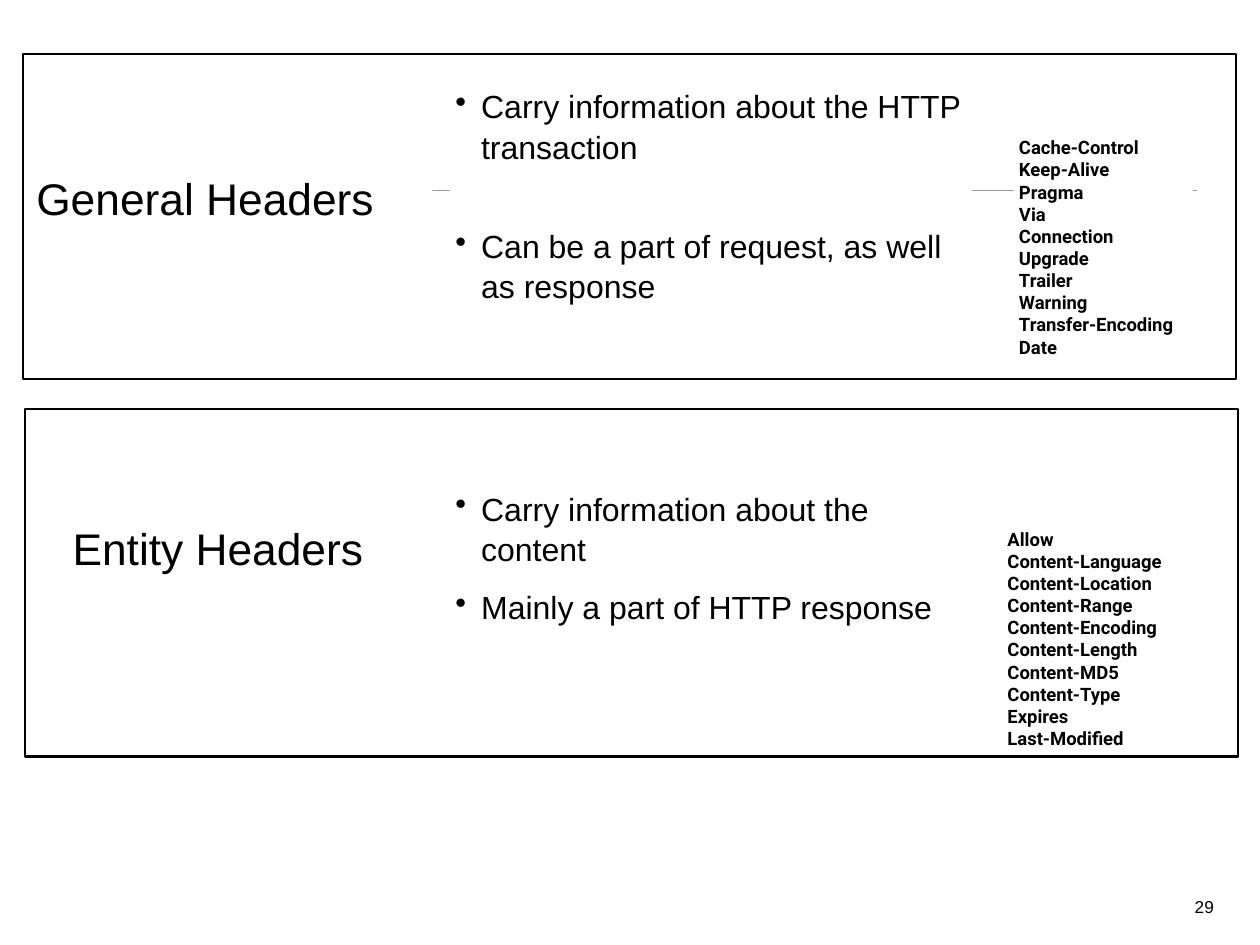
import pptx
import pptx.dml.color
import pptx.enum.shapes
import pptx.enum.text
import pptx.oxml
import pptx.oxml.ns
import pptx.util
from pptx.util import Inches

COLORS = {"text": "000000", "panel": "FFFFFF", "frame": "000000", "rule": "9A9A9A"}

GENERAL_HEADERS = ["Cache-Control", "Keep-Alive", "Pragma", "Via", "Connection", "Upgrade",
                   "Trailer", "Warning", "Transfer-Encoding", "Date"]
ENTITY_HEADERS = ["Allow", "Content-Language", "Content-Location", "Content-Range",
                  "Content-Encoding", "Content-Length", "Content-MD5", "Content-Type",
                  "Expires", "Last-Modified"]


def color(name):
    return pptx.dml.color.RGBColor.from_string(COLORS[name])


class HeaderSlide:
    """Holds the slide and its fonts, with one method for each kind of element."""

    body_font = "Arial"
    list_font = "Roboto"
    margin = Inches(0.06)

    def __init__(self, presentation):
        self.slide = presentation.slides.add_slide(presentation.slide_layouts[5])
        self.shapes = self.slide.shapes

    def set_text(self, shape, lines, size, font=None, bold=False, bottom=False, right=False,
                 wrap=True):
        frame = shape.text_frame
        frame.text = "\n".join(lines)
        frame.word_wrap = wrap
        frame.auto_size = pptx.enum.text.MSO_AUTO_SIZE.NONE
        anchors = pptx.enum.text.MSO_ANCHOR
        frame.vertical_anchor = anchors.BOTTOM if bottom else anchors.TOP
        frame.margin_left = frame.margin_right = self.margin
        frame.margin_top = frame.margin_bottom = self.margin
        alignments = pptx.enum.text.PP_ALIGN
        for paragraph in frame.paragraphs:
            paragraph.alignment = alignments.RIGHT if right else alignments.LEFT
            for run in paragraph.runs:
                run.font.name = font or self.body_font
                run.font.size = pptx.util.Pt(size)
                run.font.bold = bold
                run.font.color.rgb = color("text")

    def place_title(self, text, left, top, width, height):
        title = self.shapes.title
        title.left, title.top = Inches(left), Inches(top)
        title.width, title.height = Inches(width), Inches(height)
        title.fill.solid()
        title.fill.fore_color.rgb = color("panel")
        self.set_text(title, [text], 36, bottom=True)

    def add_text(self, lines, left, top, width, height, size, filled=False, **style):
        box = self.shapes.add_textbox(Inches(left), Inches(top), Inches(width), Inches(height))
        if filled:
            box.fill.solid()
            box.fill.fore_color.rgb = color("panel")
        self.set_text(box, lines, size, **style)
        return box

    def add_bullets(self, lines, top, height, gap):
        box = self.add_text(lines, 5.08, top, 5.89, height, 26, filled=True)
        for index, paragraph in enumerate(box.text_frame.paragraphs):
            paragraph.line_spacing = 1.05
            if index:
                paragraph.space_before = pptx.util.Pt(gap)
            properties = paragraph._p.get_or_add_pPr()
            properties.set("marL", str(Inches(0.29)))
            properties.set("indent", str(-Inches(0.29)))
            bullet = pptx.oxml.parse_xml(
                f'<a:buChar {pptx.oxml.ns.nsdecls("a")} char="•"/>')
            properties.append(bullet)

    def add_header_list(self, names, left, top, filled=False):
        self.add_text(names, left, top, 2.02, 3.31, 15, filled=filled,
                      font=self.list_font, bold=True, bottom=True)

    def add_frame(self, left, top, width, height):
        frame = self.shapes.add_shape(pptx.enum.shapes.MSO_SHAPE.RECTANGLE, Inches(left),
                                      Inches(top), Inches(width), Inches(height))
        frame.shadow.inherit = False
        frame.fill.background()
        frame.line.color.rgb = color("frame")
        frame.line.width = pptx.util.Pt(2)

    def add_rule_behind(self, left, right, top):
        """Draw a horizontal rule below every other shape."""
        rule = self.shapes.add_connector(pptx.enum.shapes.MSO_CONNECTOR.STRAIGHT, Inches(left),
                                         Inches(top), Inches(right), Inches(top))
        rule.line.color.rgb = color("rule")
        rule.line.width = pptx.util.Pt(1)
        rule._element.spPr.append(
            pptx.oxml.parse_xml(f'<a:effectLst {pptx.oxml.ns.nsdecls("a")}/>'))
        self.shapes._spTree.insert(2, rule._element)


def main():
    presentation = pptx.Presentation()
    presentation.slide_width = Inches(14.22)
    presentation.slide_height = Inches(10.67)
    slide = HeaderSlide(presentation)

    slide.add_rule_behind(0.71, 13.51, 2.15)
    slide.place_title("General Headers", 0.35, 1.06, 4.53, 1.53)
    slide.add_bullets(["Carry information about the HTTP transaction",
                       "Can be a part of request, as well as response"], 0.9, 3.08, 48)
    slide.add_text(["29"], 13.42, 10.06, 0.34, 0.33, 14, right=True, wrap=False)
    slide.add_header_list(GENERAL_HEADERS, 11.44, 0.79, filled=True)

    slide.add_text(["Entity Headers"], 0.76, 5.01, 4.53, 1.53, 36, bottom=True)
    slide.add_bullets(["Carry information about the content",
                       "Mainly a part of HTTP response"], 5.44, 7.18, 15)
    slide.add_header_list(ENTITY_HEADERS, 11.31, 5.21)

    slide.add_frame(0.26, 0.61, 13.69, 3.67)
    slide.add_frame(0.28, 4.62, 13.69, 3.92)
    presentation.save("out.pptx")


if __name__ == "__main__":
    main()
